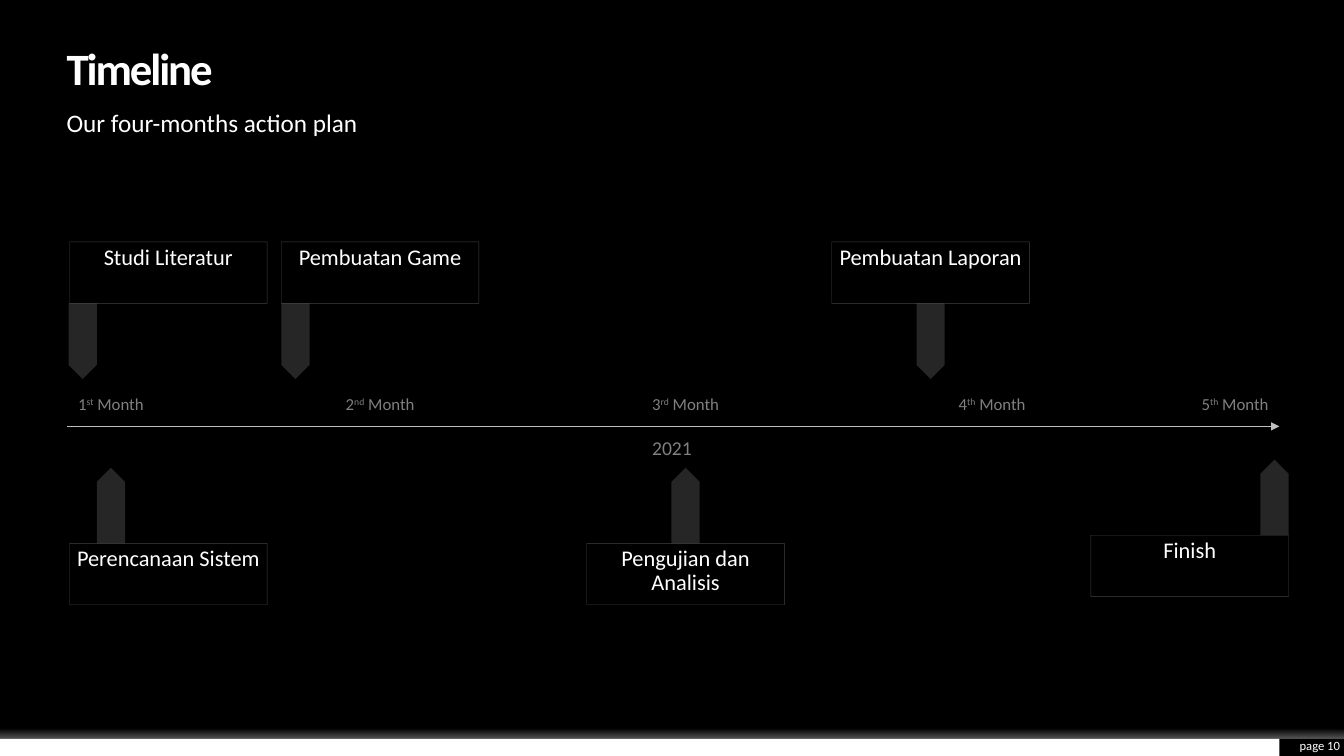
"""Build a dark timeline slide with six milestones over five months."""
import pptx
import pptx.dml.color
import pptx.enum.shapes
import pptx.enum.text
import pptx.oxml
import pptx.oxml.ns
import pptx.util

Inches = pptx.util.Inches
Pt = pptx.util.Pt
RGBColor = pptx.dml.color.RGBColor
SHAPE = pptx.enum.shapes.MSO_SHAPE
ALIGN = pptx.enum.text.PP_ALIGN
ANCHOR = pptx.enum.text.MSO_ANCHOR
NAMESPACE = pptx.oxml.ns.nsdecls("a")

COLORS = {
    "background": "000000",
    "text": "FFFFFF",
    "muted": "808080",
    "axis": "BFBFBF",
    "pointer": "262626",
}
FONT = "Calibri"

presentation = pptx.Presentation()
presentation.slide_width = Inches(13.33)
presentation.slide_height = Inches(7.5)
slide = presentation.slides.add_slide(presentation.slide_layouts[6])
slide.background.fill.solid()
slide.background.fill.fore_color.rgb = RGBColor.from_string(COLORS["background"])


def add_block(preset, left, top, width, height, color=None):
    """Add a preset shape without shadow or outline, filled if a colour is given."""
    shape = slide.shapes.add_shape(preset, Inches(left), Inches(top), Inches(width), Inches(height))
    shape.shadow.inherit = False
    shape.line.fill.background()
    if color:
        shape.fill.solid()
        shape.fill.fore_color.rgb = RGBColor.from_string(COLORS[color])
    else:
        shape.fill.background()
    return shape


def write_text(shape, runs, size, color="text", align=ALIGN.CENTER, anchor=ANCHOR.TOP, before=10, spacing=0.9, inset=0):
    """Write one paragraph of runs into a shape and return the paragraph."""
    frame = shape.text_frame
    frame.word_wrap = True
    frame.vertical_anchor = anchor
    frame.margin_left = frame.margin_right = frame.margin_bottom = 0
    frame.margin_top = Inches(inset)
    paragraph = frame.paragraphs[0]
    paragraph.alignment = align
    paragraph.line_spacing = spacing
    paragraph.space_before = Pt(before)
    paragraph.font.name = FONT
    paragraph.font.size = Pt(size)
    paragraph.font.color.rgb = RGBColor.from_string(COLORS[color])
    for text in runs:
        paragraph.add_run().text = text
    return paragraph


add_block(SHAPE.RECTANGLE, 0, 7.33, 12.69, 0.17, "text")
glow = add_block(SHAPE.RECTANGLE, 0, 7.16, 13.33, 0.17)
gradient = pptx.oxml.parse_xml(
    f'<a:gradFill {NAMESPACE} rotWithShape="1"><a:gsLst>'
    f'<a:gs pos="40000"><a:srgbClr val="{COLORS["text"]}"><a:alpha val="0"/></a:srgbClr></a:gs>'
    f'<a:gs pos="100000"><a:srgbClr val="{COLORS["text"]}"><a:alpha val="35000"/></a:srgbClr></a:gs>'
    '</a:gsLst><a:lin ang="5400000" scaled="0"/></a:gradFill>'
)
glow_properties = glow._element.spPr
glow_properties.replace(glow_properties.find(pptx.oxml.ns.qn("a:noFill")), gradient)

axis = slide.shapes.add_connector(
    pptx.enum.shapes.MSO_CONNECTOR.STRAIGHT, Inches(0.66), Inches(4.23), Inches(12.69), Inches(4.23)
)
axis.line.width = Pt(0.5)
axis.line.color.rgb = RGBColor.from_string(COLORS["axis"])
axis.line._get_or_add_ln().append(pptx.oxml.parse_xml(f'<a:tailEnd {NAMESPACE} type="triangle"/>'))
axis._element.spPr.append(pptx.oxml.parse_xml(f"<a:effectLst {NAMESPACE}/>"))

title = slide.shapes.add_textbox(Inches(0.66), Inches(0.47), Inches(10.91), Inches(0.47))
title_paragraph = write_text(title, ["Timeline"], 32, align=ALIGN.LEFT, anchor=ANCHOR.MIDDLE, before=0)
title_paragraph.font.bold = True
title_paragraph.runs[0]._r.get_or_add_rPr().set("spc", "-150")

subtitle = slide.shapes.add_textbox(Inches(0.66), Inches(1.1), Inches(10.91), Inches(0.28))
write_text(subtitle, ["Our four-months action plan"], 18, align=ALIGN.LEFT)

year = slide.shapes.add_textbox(Inches(6.44), Inches(4.35), Inches(0.45), Inches(0.22))
write_text(year, ["2021"], 14, "muted", anchor=ANCHOR.MIDDLE)

page = slide.shapes.add_textbox(Inches(12.69), Inches(7.31), Inches(0.6), Inches(0.17))
write_text(page, ["page 10"], 9, align=ALIGN.RIGHT, anchor=ANCHOR.MIDDLE, before=0, spacing=1.0)

months = [(0.66, "1", "st"), (3.33, "2", "nd"), (6.36, "3", "rd"), (9.4, "4", "th"), (11.81, "5", "th")]
for left, number, suffix in months:
    month = slide.shapes.add_textbox(Inches(left), Inches(3.93), Inches(0.88), Inches(0.28))
    month_paragraph = write_text(month, [number, suffix, " Month"], 12, "muted")
    month_paragraph.runs[1]._r.get_or_add_rPr().set("baseline", "30000")

BOX_WIDTH, BOX_HEIGHT = 1.96, 0.61
POINTER_LENGTH, POINTER_WIDTH = 0.75, 0.28
milestones = [
    ("Studi Literatur", 0.69, 2.4, 0.82, "down"),
    ("Perencanaan Sistem", 0.69, 5.39, 1.1, "up"),
    ("Pembuatan Game", 2.79, 2.4, 2.93, "down"),
    ("Pengujian dan Analisis", 5.82, 5.39, 6.8, "up"),
    ("Pembuatan Laporan", 8.25, 2.4, 9.23, "down"),
    ("Finish", 10.82, 5.31, 12.64, "up"),
]
for label, left, top, pointer_x, direction in milestones:
    if direction == "down":
        pointer_y, rotation = top + BOX_HEIGHT + POINTER_LENGTH / 2, 90
    else:
        pointer_y, rotation = top - POINTER_LENGTH / 2, 270
    pointer = add_block(
        SHAPE.PENTAGON, pointer_x - POINTER_LENGTH / 2, pointer_y - POINTER_WIDTH / 2,
        POINTER_LENGTH, POINTER_WIDTH, "pointer",
    )
    pointer.rotation = rotation

    box = add_block(SHAPE.RECTANGLE, left, top, BOX_WIDTH, BOX_HEIGHT)
    box.line.width = Pt(0.25)
    box.line.color.rgb = RGBColor.from_string(COLORS["muted"])
    line_color = box.line._get_or_add_ln().find(".//" + pptx.oxml.ns.qn("a:srgbClr"))
    line_color.append(pptx.oxml.parse_xml(f'<a:alpha {NAMESPACE} val="52000"/>'))
    write_text(box, [label], 16, inset=0.04)

presentation.save("out.pptx")
